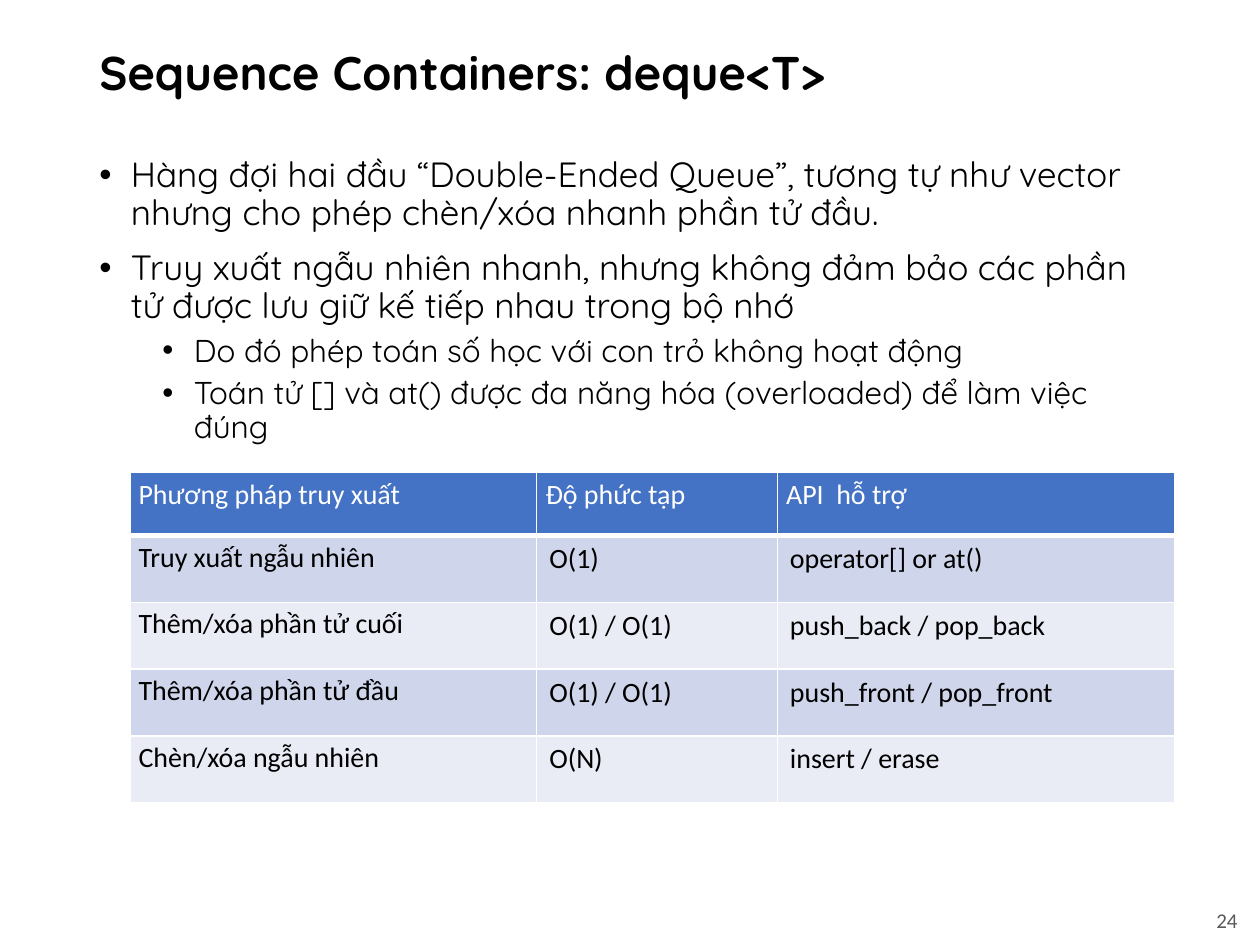
import pptx
import pptx.dml.color
import pptx.enum.text
import pptx.oxml.ns
import pptx.util
from lxml import etree
from pptx.util import Inches

ANCHOR = pptx.enum.text.MSO_ANCHOR


def color(value):
    return pptx.dml.color.RGBColor.from_string(value)


def add_span(para, text, size, font, ink="000000", bold=False):
    span = para.add_run()
    span.text = text
    span.font.size = pptx.util.Pt(size)
    span.font.name = font
    span.font.bold = bold
    span.font.color.rgb = color(ink)


deck = pptx.Presentation()
deck.slide_width, deck.slide_height = Inches(10), Inches(7.5)
page = deck.slides.add_slide(deck.slide_layouts[6])

# Text frames: title, bullets and page number
frames = []
for left, top, width, height, anchor in (
    (0.69, 0.16, 8.62, 0.87, ANCHOR.MIDDLE),
    (0.69, 1.2, 8.62, 5.45, ANCHOR.TOP),
    (8.67, 7.1, 1.25, 0.4, ANCHOR.MIDDLE),
):
    box = page.shapes.add_textbox(Inches(left), Inches(top), Inches(width), Inches(height))
    box.text_frame.word_wrap = True
    box.text_frame.vertical_anchor = anchor
    frames.append(box.text_frame)
title, body, number = frames

# Title
title.paragraphs[0].line_spacing = 0.9
add_span(title.paragraphs[0], "Sequence Containers: deque<T>", 27, "Quicksand", bold=True)

# Bullets on two levels
bullets = (
    (0, "Hàng đợi hai đầu “Double-Ended Queue”, tương tự như vector nhưng cho phép chèn/xóa nhanh phần tử đầu."),
    (0, "Truy xuất ngẫu nhiên nhanh, nhưng không đảm bảo các phần tử được lưu giữ kế tiếp nhau trong bộ nhớ"),
    (1, "Do đó phép toán số học với con trỏ không hoạt động"),
    (1, "Toán tử [] và at() được đa năng hóa (overloaded) để làm việc đúng"),
)
for index, (level, text) in enumerate(bullets):
    para = body.add_paragraph() if index else body.paragraphs[0]
    para.level = level
    para.line_spacing = 0.9
    para.space_before = pptx.util.Pt(5 if level else 10)
    properties = para._p.get_or_add_pPr()
    properties.set("marL", str(Inches(0.25 + 0.5 * level)))
    properties.set("indent", str(Inches(-0.25)))
    etree.SubElement(properties, pptx.oxml.ns.qn("a:buFont"), typeface="Arial")
    etree.SubElement(properties, pptx.oxml.ns.qn("a:buChar"), char="•")
    add_span(para, text, 18 if level else 20, "Quicksand")

# Complexity table
rows = (
    ("Phương pháp truy xuất", "Độ phức tạp", "API  hỗ trợ"),
    ("Truy xuất ngẫu nhiên", "O(1)", "operator[] or at()"),
    ("Thêm/xóa phần tử cuối", "O(1) / O(1)", "push_back / pop_back"),
    ("Thêm/xóa phần tử đầu", "O(1) / O(1)", "push_front / pop_front"),
    ("Chèn/xóa ngẫu nhiên", "O(N)", "insert / erase"),
)
table = page.shapes.add_table(
    len(rows), 3, Inches(1.03), Inches(3.75), Inches(8.29), Inches(2.64)
).table
for column, width in zip(table.columns, (3.23, 1.91, 3.15)):
    column.width = Inches(width)
for row_index, texts in enumerate(rows):
    header = row_index == 0
    table.rows[row_index].height = Inches(0.5 if header else 0.53)
    for column_index, text in enumerate(texts):
        cell = table.cell(row_index, column_index)
        if header or column_index == 0:
            cell.margin_left = cell.margin_right = Inches(0.07)
            cell.margin_top = cell.margin_bottom = Inches(0.04)
        # White borders, heavier under the header
        for side in "LRTB":
            points = 3 if header and side == "B" else 1
            line = etree.SubElement(
                cell._tc.get_or_add_tcPr(), pptx.oxml.ns.qn("a:ln" + side), w=str(pptx.util.Pt(points))
            )
            paint = etree.SubElement(line, pptx.oxml.ns.qn("a:solidFill"))
            etree.SubElement(paint, pptx.oxml.ns.qn("a:srgbClr"), val="FFFFFF")
        cell.fill.solid()
        band = "CFD5EA" if row_index % 2 else "E9EBF5"
        cell.fill.fore_color.rgb = color("4472C4" if header else band)
        ink = "FFFFFF" if header else "000000"
        add_span(cell.text_frame.paragraphs[0], text, 16, "Calibri", ink)

# Page number
number.paragraphs[0].alignment = pptx.enum.text.PP_ALIGN.RIGHT
add_span(number.paragraphs[0], "24", 12, "Calibri", "595959")

deck.save("out.pptx")
